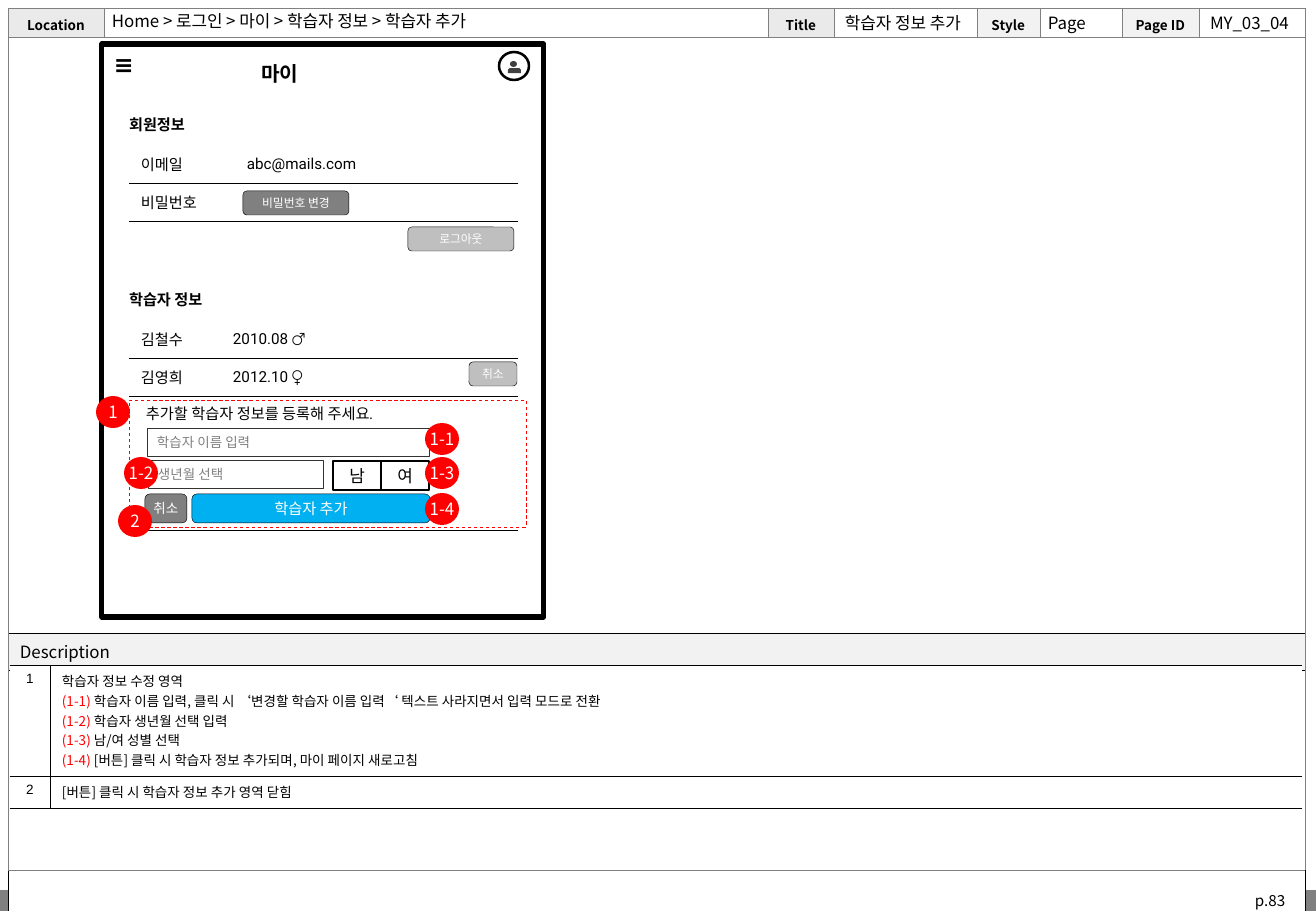
"""Build the wireframe slide for the add-learner page of a mobile service."""
from lxml.etree import SubElement
from pptx import Presentation
from pptx.dml.color import RGBColor
from pptx.enum.dml import MSO_LINE
from pptx.enum.shapes import MSO_SHAPE as SH
from pptx.enum.text import MSO_ANCHOR as ANCHOR, PP_ALIGN as ALIGN
from pptx.oxml.ns import qn
from pptx.util import Pt

PX = 7526
NO_STYLE = "{2D5ABB26-0587-4C30-8999-92F81FD0307C}"


class Theme:
    black, white, red, blue = "000000", "FFFFFF", "FF0000", "00B0F0"
    dark, gray, silver, outline = "404040", "808080", "BFBFBF", "333333"
    label, pale = "EAEAEA", "F2F2F2"
    noto, roboto, arial, calibri = "Noto Sans CJK KR", "Roboto", "Arial", "Calibri"
    tiny, small, body, large, title, icon = 7, 8, 9, 10, 12, 14


T = Theme


def write(host, text, size=T.large, font=T.noto, color=T.black, bold=False,
          align=ALIGN.LEFT, anchor=ANCHOR.MIDDLE, inset=(0, 0, 0, 0),
          spacing=None, wrap=True):
    """Fill a shape or cell; text before a bar in a line is marked red."""
    tf = host.text_frame
    if hasattr(host, "is_spanned"):
        frame = host
    else:
        frame = tf
        tf.word_wrap = wrap
    frame.vertical_anchor = anchor
    (frame.margin_left, frame.margin_top,
     frame.margin_right, frame.margin_bottom) = [v * PX for v in inset]
    for i, line in enumerate(text.split("\n")):
        p = tf.add_paragraph() if i else tf.paragraphs[0]
        p.alignment = align
        if spacing:
            p.line_spacing = spacing
        mark, _, rest = line.rpartition("|")
        for part, tone in ((mark, T.red), (rest, color)):
            if part:
                r = p.add_run()
                r.text = part
                r.font.size, r.font.name, r.font.bold = Pt(size), font, bold
                r.font.color.rgb = RGBColor.from_string(tone)
                SubElement(r.font._element, qn("a:ea"), typeface=T.noto)
        if not line:
            SubElement(p._p, qn("a:endParaRPr"), sz="100")


def box(kind, x, y, w, h, text=None, fill=None, line=None, weight=0.25, **fmt):
    """Add a preset shape, or a text box when kind is None."""
    place = [v * PX for v in (x, y, w, h)]
    if kind is None:
        s = prs.slides[0].shapes.add_textbox(*place)
    else:
        s = prs.slides[0].shapes.add_shape(kind, *place)
        s.shadow.inherit = False
        if fill:
            s.fill.solid()
            s.fill.fore_color.rgb = RGBColor.from_string(fill)
        else:
            s.fill.background()
        if line:
            s.line.color.rgb = RGBColor.from_string(line)
            s.line.width = Pt(weight)
        else:
            s.line.fill.background()
    if text:
        write(s, text, **fmt)
    return s


prs = Presentation()
prs.slide_width, prs.slide_height = 1316 * PX, 911 * PX
slide = prs.slides.add_slide(prs.slide_layouts[6])

box(SH.RECTANGLE, 0, 890, 1316, 21, fill=T.gray)

PAD = (12, 6, 12, 6)
header_widths = (96, 664, 66, 143, 63, 82, 77, 106)
header_tints = (T.label,) * 4 + (T.pale,) * 4
details = """학습자 정보 수정 영역
(1-1) |학습자 이름 입력, 클릭 시 ‘변경할 학습자 이름 입력‘ 텍스트 사라지면서 입력 모드로 전환
(1-2) |학습자 생년월 선택 입력
(1-3) |남/여 성별 선택
(1-4) |[버튼] 클릭 시 학습자 정보 추가되며, 마이 페이지 새로고침"""

tables = [
    dict(at=(8, 633), heights=(37, 241), rows=[["Description"], [""]],
         cols=[(1297, "LRT", T.pale, T.noto, ALIGN.LEFT)],
         fmt=dict(size=T.large, anchor=ANCHOR.TOP, inset=PAD)),
    dict(at=(8, 8), heights=(29, 833), border=T.gray, blank=None,
         rows=[["Location", "", "Title", "", "Style", "", "Page ID", ""], [""]],
         cols=[(w, "LRTB", tint, T.noto, ALIGN.CENTER)
               for w, tint in zip(header_widths, header_tints)],
         fmt=dict(size=T.small, bold=True, inset=(0, 4, 0, 0))),
    dict(at=(10, 665), heights=(111, 32),
         rows=[["1", details], ["2", "[버튼] 클릭 시 학습자 정보 추가 영역 닫힘"]],
         cols=[(40, "TB", T.white, T.arial, ALIGN.CENTER),
               (1252, "LTB", T.white, T.noto, ALIGN.LEFT)],
         fmt=dict(size=T.small, anchor=ANCHOR.TOP, inset=PAD)),
    dict(at=(129, 145), heights=(38, 38),
         rows=[["이메일", "abc@mails.com"], ["비밀번호", ""]],
         cols=[(w, "B", T.white, T.roboto, ALIGN.LEFT) for w in (106, 283)],
         fmt=dict(size=T.body, inset=PAD)),
    dict(at=(129, 320), heights=(38, 38, 134),
         rows=[["김철수", "2010.08 ♂"], ["김영희", "2012.10 ♀"],
               ["추가할 학습자 정보를 등록해 주세요."]],
         cols=[(w, "B", T.white, T.roboto, ALIGN.LEFT) for w in (92, 297)],
         fmt=dict(size=T.body, inset=PAD)),
]
for spec in tables:
    cols, heights, (x, y) = spec["cols"], spec["heights"], spec["at"]
    width = sum(col[0] for col in cols)
    tbl = slide.shapes.add_table(len(heights), len(cols), x * PX, y * PX,
                                 width * PX, sum(heights) * PX).table
    tbl.first_row = tbl.horz_banding = False
    tbl._tbl.tblPr.find(qn("a:tableStyleId")).text = NO_STYLE
    for j, col in enumerate(cols):
        tbl.columns[j].width = col[0] * PX
    for i, (height, row) in enumerate(zip(heights, spec["rows"])):
        tbl.rows[i].height = height * PX
        if len(row) < len(cols):
            tbl.cell(i, 0).merge(tbl.cell(i, len(cols) - 1))
        for j, (text, (_, edges, tint, font, align)) in enumerate(zip(row, cols)):
            c = tbl.cell(i, j)
            write(c, text, font=font, align=align, **spec["fmt"])
            for edge in edges:
                ln = SubElement(c._tc.get_or_add_tcPr(), qn("a:ln" + edge), w="3175")
                SubElement(SubElement(ln, qn("a:solidFill")), qn("a:srgbClr"),
                           val=spec.get("border", T.black))
            tone = tint if text else spec.get("blank", T.white)
            if tone:
                c.fill.solid()
                c.fill.fore_color.rgb = RGBColor.from_string(tone)
            else:
                c.fill.background()
form = tbl.cell(2, 0)
form.vertical_anchor, form.margin_left = ANCHOR.TOP, 17 * PX

box(SH.RECTANGLE, 102, 44, 442, 41, "≡", T.white, size=T.icon, font=T.roboto,
    bold=True, anchor=ANCHOR.TOP, inset=PAD)
box(SH.RECTANGLE, 142, 51, 335, 32, "마이", T.white, size=T.title, bold=True,
    inset=(119, 0, 0, 0), spacing=1.5)
box(SH.RECTANGLE, 102, 44, 442, 573, line=T.black, weight=3)
box(SH.OVAL, 499, 52, 30, 28, fill=T.white, line=T.black, weight=1.5)
box(SH.OVAL, 510, 61, 7, 6, fill=T.dark)
shoulders = box(SH.ROUND_2_SAME_RECTANGLE, 508, 68, 13, 5, fill=T.dark)
shoulders.adjustments[0] = 0.5

for x, y, w, h, text in [
    (102, 7, 665, 28, "Home > 로그인 > 마이 > 학습자 정보 > 학습자 추가"),
    (835, 9, 142, 27, "학습자 정보 추가"),
    (1038, 9, 84, 27, "Page"),
    (1200, 9, 105, 27, "MY_03_04"),
]:
    box(None, x, y, w, h, text, inset=(10, 0, 0, 0))
box(None, 1243, 885, 73, 26, "p.83", size=T.body, anchor=ANCHOR.TOP, inset=(12, 6, 0, 0))
for y, text in ((108, "회원정보"), (283, "학습자 정보")):
    box(None, 129, y, 392, 24, text, size=T.body, bold=True, spacing=1.5)

for x, y, w, h, text, fill, size in [
    (243, 191, 106, 24, "비밀번호 변경", T.gray, T.tiny),
    (408, 227, 106, 24, "로그아웃", T.silver, T.tiny),
    (469, 362, 48, 24, "취소", T.silver, T.tiny),
    (192, 494, 238, 29, "학습자 추가", T.blue, T.body),
    (145, 494, 42, 29, "취소", T.gray, T.small),
]:
    box(SH.ROUNDED_RECTANGLE, x, y, w, h, text, fill, T.black, size=size,
        color=T.white, align=ALIGN.CENTER)
for x, y, w, text in ((147, 428, 283, "학습자 이름 입력"), (148, 460, 176, "생년월 선택")):
    box(SH.RECTANGLE, x, y, w, 28, text, T.white, T.outline, 0.5, size=T.small,
        font=T.calibri, color=T.gray, inset=(10, 0, 10, 0))
for x, text in ((333, "남"), (381, "여")):
    box(SH.RECTANGLE, x, 461, 48, 29, text, T.white, T.black, 1, font=T.arial,
        align=ALIGN.CENTER, wrap=False)

area = box(SH.RECTANGLE, 129, 400, 397, 127, line=T.red, weight=0.5)
area.line.dash_style = MSO_LINE.DASH
for x, y, text in [(96, 396, "1"), (425, 423, "1-1"), (124, 457, "1-2"),
                   (425, 457, "1-3"), (425, 493, "1-4"), (118, 505, "2")]:
    box(SH.OVAL, x, y, 34, 32, text, T.red, color=T.white, align=ALIGN.CENTER, wrap=False)

prs.save("out.pptx")
